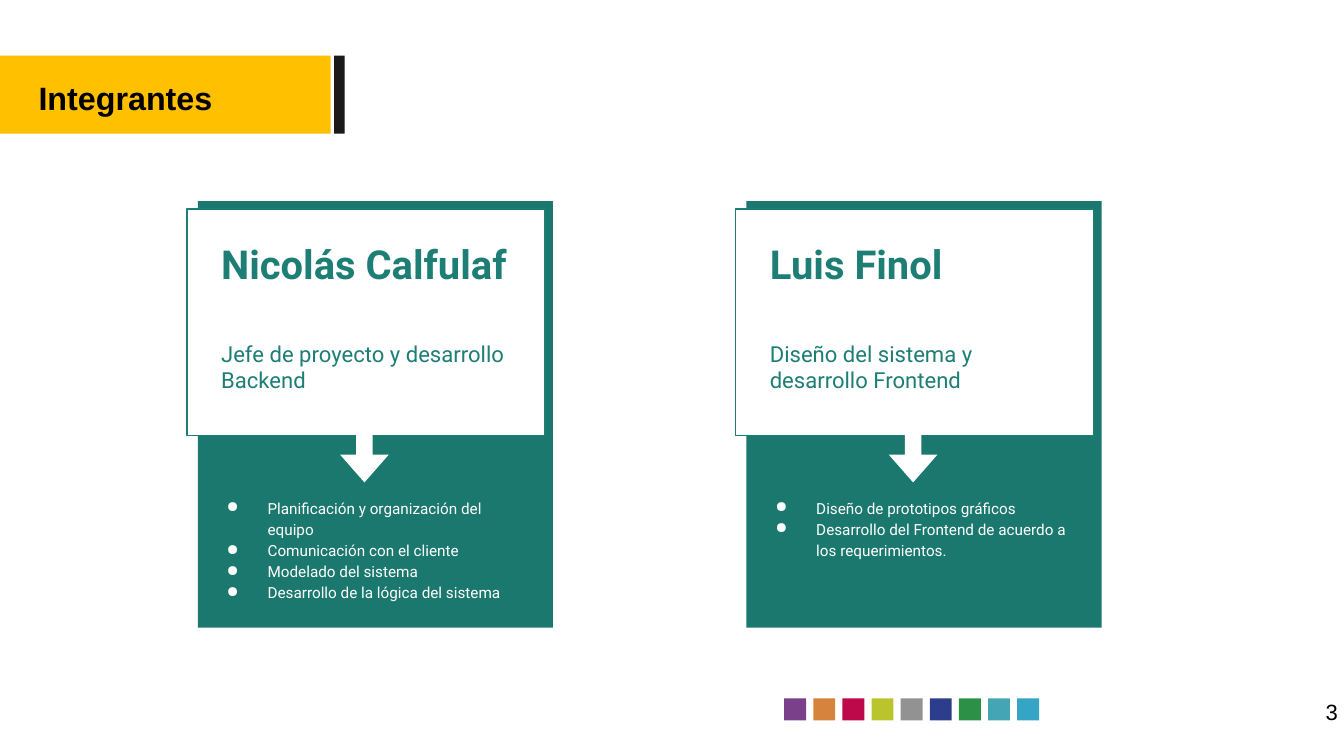
from lxml import etree
from pptx import Presentation
from pptx import util as u
from pptx.dml.color import RGBColor
from pptx.enum import shapes, text
from pptx.oxml.ns import qn

GREEN, TEAL, WHITE, BLACK = "1B786F", "1D7E75", "FFFFFF", "000000"
SWATCHES = ["7B408A", "D6843D", "BD0949", "BAC52E", "929292",
            "2C3E8B", "2C9146", "44A6B5", "35A4C5"]
MEMBERS = [
    (7.77, "Nicolás Calfulaf", "Jefe de proyecto y desarrollo Backend",
     ["Planificación y organización del equipo",
      "Comunicación con el cliente",
      "Modelado del sistema",
      "Desarrollo de la lógica del sistema"]),
    (30.57, "Luis Finol", "Diseño del sistema y desarrollo Frontend",
     ["Diseño de prototipos gráficos",
      "Desarrollo del Frontend de acuerdo a los requerimientos."]),
]


def colour(value):
    return RGBColor.from_string(value)


def box(cm):
    return [u.Cm(length) for length in cm]


def add_block(parent, cm, fill, border=None, kind=shapes.MSO_SHAPE.RECTANGLE):
    block = parent.add_shape(kind, *box(cm))
    block.shadow.inherit = False
    block.fill.solid()
    block.fill.fore_color.rgb = colour(fill)
    if border:
        block.line.color.rgb = colour(border)
        block.line.width = u.Pt(1.5)
    else:
        block.line.fill.background()
    return block


def set_frame(frame, inset):
    frame.word_wrap = True
    frame.auto_size = text.MSO_AUTO_SIZE.NONE
    frame.vertical_anchor = text.MSO_ANCHOR.TOP
    frame.margin_left = frame.margin_right = u.Cm(inset)
    frame.margin_top = frame.margin_bottom = u.Cm(inset)


def add_run(paragraph, words, size, ink, font="Roboto", bold=False):
    run = paragraph.add_run()
    run.text = words
    run.font.name = font
    run.font.size = u.Pt(size)
    run.font.bold = bold
    run.font.color.rgb = colour(ink)


def add_label(parent, cm, inset=0.56):
    frame = parent.add_textbox(*box(cm)).text_frame
    set_frame(frame, inset)
    return frame


def make_bullet(paragraph):
    paragraph.line_spacing = 1.15
    props = paragraph._p.get_or_add_pPr()
    props.set("marL", str(u.Cm(2.79)))
    props.set("indent", str(u.Cm(-1.7)))
    bullet_colour = etree.SubElement(props, qn("a:buClr"))
    etree.SubElement(bullet_colour, qn("a:srgbClr"), val=WHITE)
    etree.SubElement(props, qn("a:buChar"), char="●")


def add_heading(slide, words):
    add_block(slide.shapes, (0, 2.31, 13.74, 3.25), "FFC000")
    add_block(slide.shapes, (13.89, 2.31, 0.43, 3.25), "1A1A1A")
    heading = slide.shapes.title
    heading.left, heading.top, heading.width, heading.height = box((1.6, 3.25, 12.07, 1.63))
    set_frame(heading.text_frame, 0)
    line = heading.text_frame.paragraphs[0]
    line.alignment = text.PP_ALIGN.LEFT
    add_run(line, words, 38, BLACK, "Arial", True)
    # Bring the title in front of its yellow bar
    slide.shapes._spTree.append(heading._element)


def add_swatches(slide):
    strip = slide.shapes.add_group_shape().shapes
    for i, fill in enumerate(SWATCHES):
        add_block(strip, (32.59 + i * 1.21, 29.03, 0.91, 0.91), fill)


def add_page_number(slide, number):
    frame = add_label(slide.shapes, (52.25, 29.01, 3.35, 1.12), 0)
    frame.paragraphs[0].alignment = text.PP_ALIGN.RIGHT
    add_run(frame.paragraphs[0], number, 26, BLACK, "Arial")


def add_member(slide, left, name, role, duties):
    card = slide.shapes.add_group_shape().shapes
    # Green panel with the white card over it
    add_block(card, (left + 0.45, 8.36, 14.76, 17.73), GREEN)
    add_block(card, (left, 8.69, 14.88, 9.42), WHITE, TEAL)

    # Role and name
    role_frame = add_label(card, (left + 0.86, 13.59, 13.18, 3.38))
    add_run(role_frame.paragraphs[0], role, 26, TEAL)
    name_frame = add_label(card, (left + 0.86, 9.4, 13.18, 3.76))
    add_run(name_frame.paragraphs[0], name, 47, TEAL, bold=True)

    # Arrow to the list of duties
    arrow = add_block(card, (left + 6.36, 17.89, 2.03, 2.16), WHITE,
                      kind=shapes.MSO_SHAPE.DOWN_ARROW)
    arrow.adjustments[0] = 0.34
    arrow.adjustments[1] = 0.57

    duty_frame = add_label(card, (left, 20.07, 14.76, 6.05))
    for i, duty in enumerate(duties):
        line = duty_frame.add_paragraph() if i else duty_frame.paragraphs[0]
        make_bullet(line)
        add_run(line, duty, 18, WHITE)


def main():
    deck = Presentation()
    deck.slide_width, deck.slide_height = u.Cm(55.85), u.Cm(31.42)
    slide = deck.slides.add_slide(deck.slide_layouts[5])
    add_heading(slide, "Integrantes")
    add_swatches(slide)
    add_page_number(slide, "3")
    for member in MEMBERS:
        add_member(slide, *member)
    deck.save("out.pptx")


if __name__ == "__main__":
    main()
